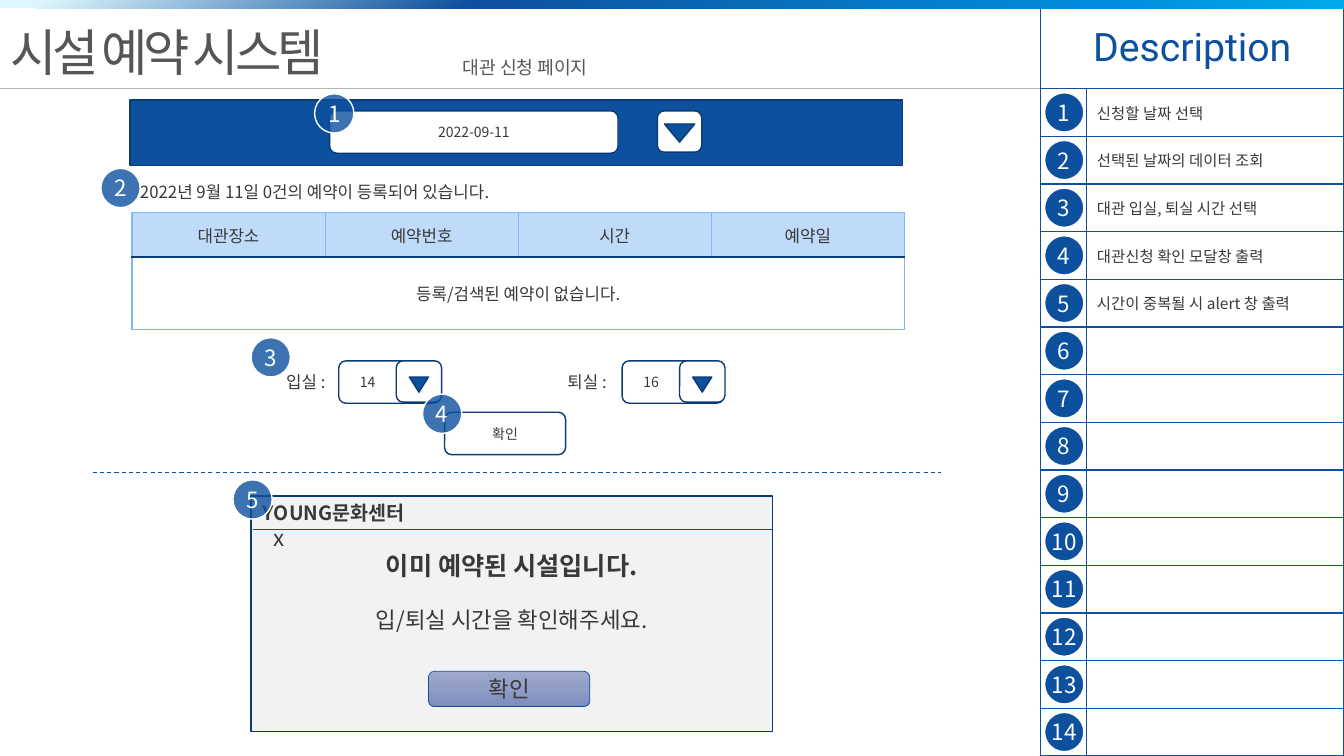
from lxml import etree
from pptx import Presentation
from pptx.dml.color import RGBColor
from pptx.enum.dml import MSO_LINE
from pptx.enum.shapes import MSO_CONNECTOR, MSO_SHAPE
from pptx.enum.text import MSO_ANCHOR, MSO_AUTO_SIZE, PP_ALIGN
from pptx.oxml import parse_xml
from pptx.oxml.ns import qn
from pptx.util import Inches, Pt

KOREAN, LATIN = "Noto Sans CJK KR", "Roboto"
BLUE, NAVY, SKY, PALE = "0D509E", "0A3B75", "82B7F5", "C0DBFA"
HEADER_RULE = "0A3C76"
INK, GRAY, WHITE, PANEL = "3A3838", "585555", "FFFFFF", "F2F2F2"
DRAWING_NS = "http://schemas.openxmlformats.org/drawingml/2006/main"

TITLE = "시설 예약 시스템"
DESCRIPTIONS = ["신청할 날짜 선택", "선택된 날짜의 데이터 조회", "대관 입실, 퇴실 시간 선택",
                "대관신청 확인 모달창 출력", "시간이 중복될 시 alert 창 출력"]
DESCRIPTION_ROWS = 14
BOOKING_HEADERS = ["대관장소", "예약번호", "시간", "예약일"]
NO_BOOKINGS = "등록/검색된 예약이 없습니다."
LABELS = [("대관 신청 페이지", (4.49, 0.51, 1.56, 0.32), 13, GRAY),
          ("2022년 9월 11일 0건의 예약이 등록되어 있습니다.", (1.29, 1.75, 4.03, 0.3), 12, INK)]
TIME_PICKERS = [("입실 :", "14", 2.74, 3.36), ("퇴실 :", "16", 5.53, 6.17)]
MODAL_LINES = [("이미 예약된 시설입니다.", 18, True), ("입/퇴실 시간을 확인해주세요.", 16, False)]
CALLOUTS = [(3.12, 0.93), (1, 1.67), (2.49, 3.35), (4.19, 3.91), (2.31, 4.76)]
BAR_STOPS = [(3, "DDF6FD"), (35, BLUE), (82, "018EDD"), (100, "00A9EA")]
BUTTON_STOPS = [(0, "9EA9CF"), (50, "909DC5"), (100, "7C8CC0")]

prs = Presentation()
prs.slide_width, prs.slide_height = Inches(13.33), Inches(7.5)
slide = prs.slides.add_slide(prs.slide_layouts[5])
shapes = slide.shapes


def rgb(color):
    return RGBColor.from_string(color)


def inches(box):
    return [Inches(length) for length in box]


def write(paragraph, text, size, color=INK, align=PP_ALIGN.LEFT, bold=False, font=KOREAN):
    paragraph.alignment = align
    run = paragraph.add_run()
    run.text = text
    for key, value in {"size": Pt(size), "bold": bold, "name": font}.items():
        setattr(run.font, key, value)
    run.font.color.rgb = rgb(color)
    etree.SubElement(run.font._element, qn("a:ea")).set("typeface", font)
    return run


def add_block(kind, box, fill, line=NAVY, weight=1):
    block = shapes.add_shape(kind, *inches(box))
    block.shadow.inherit = False
    if fill:
        block.fill.solid()
        block.fill.fore_color.rgb = rgb(fill)
    if line:
        block.line.color.rgb = rgb(line)
        block.line.width = Pt(weight)
    else:
        block.line.fill.background()
    block.text_frame.word_wrap = True
    block.text_frame.vertical_anchor = MSO_ANCHOR.MIDDLE
    return block


def fill_gradient(block, stops, angle):
    marks = "".join(f'<a:gs pos="{at * 1000}"><a:srgbClr val="{color}"/></a:gs>' for at, color in stops)
    gradient = parse_xml(f'<a:gradFill xmlns:a="{DRAWING_NS}" rotWithShape="1"><a:gsLst>{marks}</a:gsLst>'
                         f'<a:lin ang="{angle * 60000}" scaled="0"/></a:gradFill>')
    block._element.spPr.find(qn("a:prstGeom")).addnext(gradient)


def add_label(text, box, size, color=INK):
    frame = shapes.add_textbox(*inches(box)).text_frame
    frame.word_wrap = False
    frame.auto_size = MSO_AUTO_SIZE.SHAPE_TO_FIT_TEXT
    write(frame.paragraphs[0], text, size, color)


def add_rule(start, end, color, weight):
    rule = shapes.add_connector(MSO_CONNECTOR.STRAIGHT, *inches(start + end))
    rule.line.color.rgb = rgb(color)
    rule.line.width = Pt(weight)
    etree.SubElement(rule._element.spPr, qn("a:effectLst"))
    return rule


def add_badge(number, left, top, opacity=100):
    badge = add_block(MSO_SHAPE.OVAL, (left, top, 0.39, 0.39), BLUE, WHITE)
    if opacity < 100:
        tint = badge._element.spPr.find(qn("a:solidFill"))[0]
        etree.SubElement(tint, qn("a:alpha")).set("val", str(opacity * 1000))
    frame = badge.text_frame
    for side in ("left", "top", "right", "bottom"):
        setattr(frame, f"margin_{side}", 0)
    write(frame.paragraphs[0], str(number), 16, WHITE, PP_ALIGN.CENTER)


def add_grid(box, widths, heights):
    grid = shapes.add_table(len(heights), len(widths), *inches(box)).table
    grid.first_row = grid.horz_banding = False
    for column, width in zip(grid.columns, widths):
        column.width = Inches(width)
    for row, height in zip(grid.rows, heights):
        row.height = Inches(height)
    return grid


def style_cell(cell, borders, fill=None):
    """Border colours come in the order left, right, top, bottom."""
    cell.vertical_anchor = MSO_ANCHOR.MIDDLE
    if fill:
        cell.fill.solid()
        cell.fill.fore_color.rgb = rgb(fill)
    else:
        cell.fill.background()
    properties = cell._tc.get_or_add_tcPr()
    for place, (side, color) in enumerate(zip("LRTB", borders)):
        properties.insert(place, parse_xml(
            f'<a:ln{side} xmlns:a="{DRAWING_NS}" w="12700"><a:solidFill><a:srgbClr val="{color}"/>'
            f'</a:solidFill></a:ln{side}>'))


def add_arrow_button(box, arrow_box):
    add_block(MSO_SHAPE.ROUNDED_RECTANGLE, box, WHITE)
    add_block(MSO_SHAPE.ISOSCELES_TRIANGLE, arrow_box, BLUE).rotation = 180


# Page header
title = shapes.title
title.left, title.top, title.width, title.height = inches((0, 0.16, 3.71, 0.71))
title.text_frame.word_wrap = False
title.text_frame.auto_size = MSO_AUTO_SIZE.SHAPE_TO_FIT_TEXT
title.text_frame.vertical_anchor = MSO_ANCHOR.TOP
title_run = write(title.text_frame.paragraphs[0], TITLE, 36, GRAY)
title_run.font._element.set("spc", "-300")

# Description panel
row_height = 6.62 / DESCRIPTION_ROWS
panel = add_grid((10.32, 0.08, 3.01, 7.42), [0.46, 2.55], [0.8] + [row_height] * DESCRIPTION_ROWS)
for cell in panel.iter_cells():
    style_cell(cell, [BLUE] * 4)
panel.cell(0, 0).merge(panel.cell(0, 1))
write(panel.cell(0, 0).text_frame.paragraphs[0], "Description", 28, BLUE, PP_ALIGN.CENTER, font=LATIN)
for row, description in enumerate(DESCRIPTIONS, 1):
    write(panel.cell(row, 1).text_frame.paragraphs[0], description, 11)
for index in range(DESCRIPTION_ROWS):
    add_badge(index + 1, 10.36, 0.92 + index * row_height)

add_rule((0, 0.88), (10.32, 0.88), "B5B5B5", 1)
top_bar = add_block(MSO_SHAPE.RECTANGLE, (0, 0, 13.33, 0.08), None, None)
fill_gradient(top_bar, BAR_STOPS, 45)
for label in LABELS:
    add_label(*label)

# Date search
add_block(MSO_SHAPE.RECTANGLE, (1.29, 0.99, 7.66, 0.65), BLUE)
for caption, box in [("2022-09-11", (3.27, 1.1, 2.86, 0.42)), ("확인", (4.41, 4.09, 1.2, 0.42))]:
    field = add_block(MSO_SHAPE.ROUNDED_RECTANGLE, box, WHITE)
    write(field.text_frame.paragraphs[0], caption, 10, align=PP_ALIGN.CENTER)
add_arrow_button((6.52, 1.1, 0.44, 0.41), (6.59, 1.23, 0.3, 0.18))

# Booking list
bookings = add_grid((1.31, 2.11, 7.66, 1.16), [7.66 / 4] * 4, [0.44, 0.72])
for column, header in enumerate(BOOKING_HEADERS):
    style_cell(bookings.cell(0, column), [SKY, SKY, SKY, HEADER_RULE], PALE)
    style_cell(bookings.cell(1, column), [SKY, SKY, HEADER_RULE, SKY])
    write(bookings.cell(0, column).text_frame.paragraphs[0], header, 12, align=PP_ALIGN.CENTER)
bookings.cell(1, 0).merge(bookings.cell(1, 3))
write(bookings.cell(1, 0).text_frame.paragraphs[0], NO_BOOKINGS, 12, align=PP_ALIGN.CENTER)

# Entry and exit times
for caption, hour, label_left, left in TIME_PICKERS:
    add_label(caption, (label_left, 3.64, 0.63, 0.3), 12)
    picker = add_block(MSO_SHAPE.ROUNDED_RECTANGLE, (left, 3.58, 1.01, 0.42), WHITE)
    picker.text_frame.margin_left = Inches(0.19)
    write(picker.text_frame.paragraphs[0], hour, 10)
    add_arrow_button((left + 0.57, 3.58, 0.45, 0.41), (left + 0.7, 3.74, 0.19, 0.15))
add_rule((0.92, 4.69), (9.33, 4.69), BLUE, 0.75).line.dash_style = MSO_LINE.DASH

# Alert window
modal = add_block(MSO_SHAPE.RECTANGLE, (2.49, 4.92, 5.17, 2.34), PANEL).text_frame
modal.vertical_anchor = MSO_ANCHOR.TOP
modal.margin_top = Inches(0.54)
for index, (message, size, bold) in enumerate(MODAL_LINES):
    paragraph = modal.add_paragraph() if index else modal.paragraphs[0]
    write(paragraph, message, size, align=PP_ALIGN.CENTER, bold=bold)
    if index:
        paragraph.space_before = Pt(18)
confirm = add_block(MSO_SHAPE.ROUNDED_RECTANGLE, (4.25, 6.66, 1.6, 0.35), None, BLUE, 0.5)
fill_gradient(confirm, BUTTON_STOPS, 90)
write(confirm.text_frame.paragraphs[0], "확인", 16, align=PP_ALIGN.CENTER)
add_rule((2.51, 5.25), (7.66, 5.25), BLUE, 0.5)
heading = shapes.add_textbox(*inches((2.51, 4.92, 5.18, 0.37))).text_frame
heading.word_wrap = True
write(heading.paragraphs[0], "YOUNG문화센터", 14, bold=True)
close_mark = heading.add_paragraph()
close_mark._p.get_or_add_pPr().set("marL", str(Inches(0.1)))
write(close_mark, "x", 16)

for number, (left, top) in enumerate(CALLOUTS, 1):
    add_badge(number, left, top, 80)

prs.save("out.pptx")
